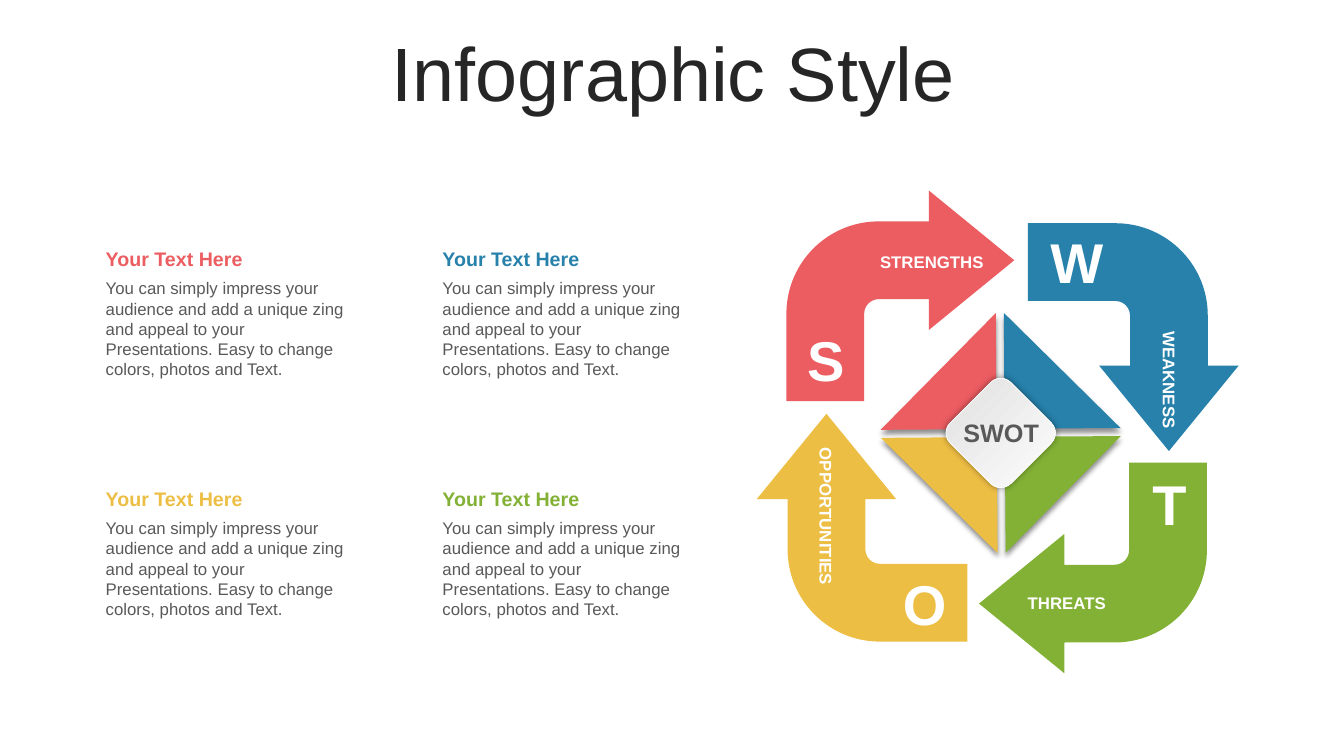
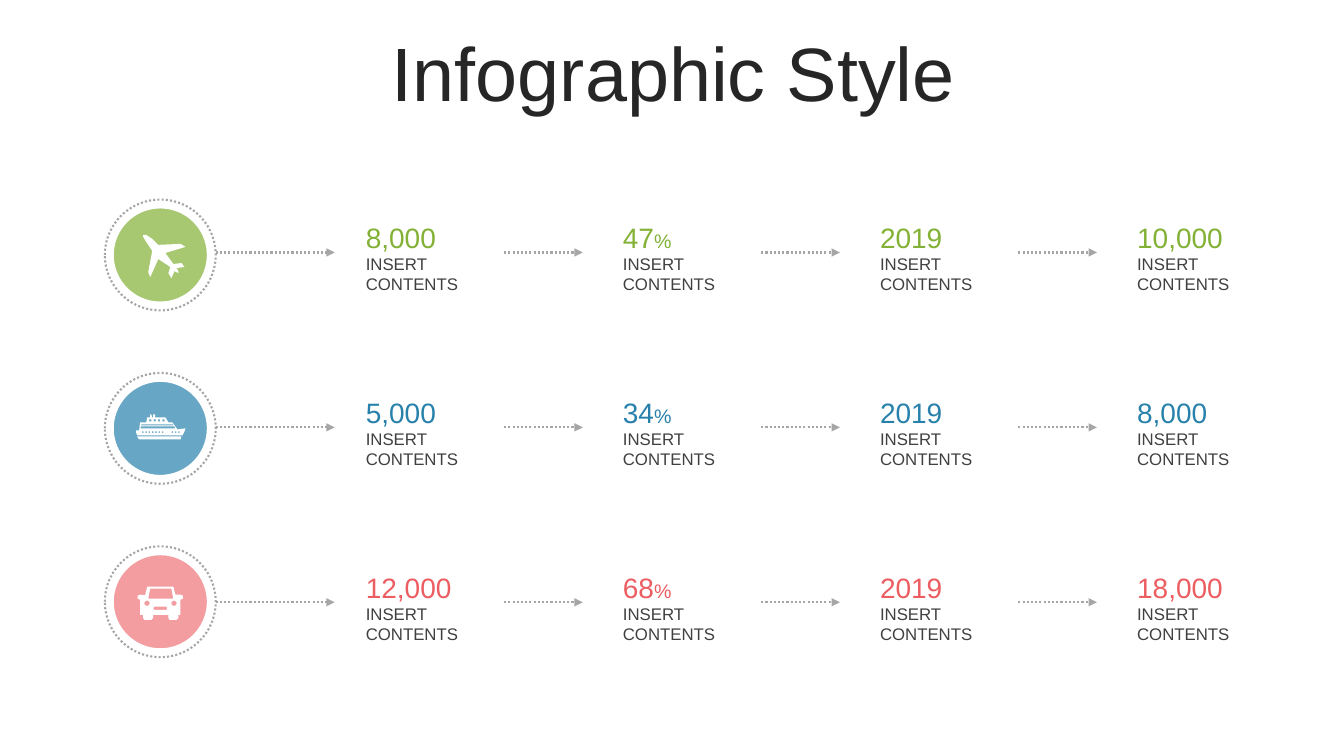
from math import cos, pi, sin

from pptx import Presentation
from pptx.dml.color import RGBColor
from pptx.enum.dml import MSO_LINE
from pptx.enum.shapes import MSO_CONNECTOR, MSO_SHAPE as SHAPE
from pptx.enum.text import MSO_ANCHOR as ANCHOR, MSO_AUTO_SIZE as AUTO, PP_ALIGN as ALIGN
from pptx.oxml.ns import qn
from pptx.util import Inches, Pt
from lxml.etree import SubElement

FONT = "Arial"
RED, BLUE, GREEN, YELLOW = "EC5D62", "2781AB", "82B135", "EDBE44"
WHITE, TITLE_INK, BODY_INK, CAPTION_INK, DOT_GREY = "FFFFFF", "262626", "595959", "404040", "A6A6A6"
BODY_TEXT = ("You can simply impress your audience and add a unique zing and appeal to your "
             "Presentations. Easy to change colors, photos and Text.")


def paint(fill, color):
    fill.solid()
    fill.fore_color.rgb = RGBColor.from_string(color)


def write(shape, paragraphs, color, bold=False, align=ALIGN.LEFT, anchor=ANCHOR.TOP):
    """Fill a shape with paragraphs, each a list of (text, size) runs."""
    frame = shape.text_frame
    frame.vertical_anchor = anchor
    for index, runs in enumerate(paragraphs):
        para = frame.add_paragraph() if index else frame.paragraphs[0]
        para.alignment = align
        for text, size in runs:
            span = para.add_run()
            span.text = text
            span.font.name = FONT
            span.font.size = Pt(size)
            span.font.bold = bold
            paint(span.font.fill, color)


def add_text(page, left, top, width, height, paragraphs, color, wrap=True, **style):
    box = page.shapes.add_textbox(Inches(left), Inches(top), Inches(width), Inches(height))
    box.text_frame.word_wrap = wrap
    box.text_frame.auto_size = AUTO.SHAPE_TO_FIT_TEXT
    write(box, paragraphs, color, **style)


def add_shape(page, kind, left, top, width, height, color=None, rotation=0, adjust=()):
    shape = page.shapes.add_shape(kind, Inches(left), Inches(top), Inches(width), Inches(height))
    shape.shadow.inherit = False
    shape.rotation = rotation
    for index, value in enumerate(adjust):
        shape.adjustments[index] = value
    if color:
        paint(shape.fill, color)
    else:
        shape.fill.background()
    shape.line.fill.background()
    return shape


def outline(shape, color, width, dotted=False):
    paint(shape.line.fill, color)
    shape.line.width = Pt(width)
    if dotted:
        shape.line.dash_style = MSO_LINE.ROUND_DOT


def cast_shadow(shape, opacity, blur, distance, angle):
    effects = shape.element.spPr.find(qn("a:effectLst"))
    shadow = SubElement(effects, qn("a:outerShdw"), blurRad=str(Pt(blur)), dist=str(Pt(distance)),
                        dir=str(angle * 60000), algn="ctr", rotWithShape="0")
    black = SubElement(shadow, qn("a:srgbClr"), val="000000")
    SubElement(black, qn("a:alpha"), val=str(opacity * 1000))


def make_translucent(shape, opacity):
    color = shape.element.spPr.find(qn("a:solidFill")).find(qn("a:srgbClr"))
    SubElement(color, qn("a:alpha"), val=str(opacity * 1000))


def add_dotted_arrow(page, start, end, y):
    arrow = page.shapes.add_connector(MSO_CONNECTOR.STRAIGHT, Inches(start), Inches(y), Inches(end), Inches(y))
    outline(arrow, DOT_GREY, 1.5, dotted=True)
    properties = arrow.element.spPr
    SubElement(properties.find(qn("a:ln")), qn("a:tailEnd"), type="triangle")
    SubElement(properties, qn("a:effectLst"))


def add_icon(page, contours):
    """Draw closed contours as one white outline; inner contours become holes."""
    scaled = [[(Inches(x / 100), Inches(y / 100)) for x, y in points] for points in contours]
    builder = page.shapes.build_freeform(*scaled[0][0], scale=1.0)
    for index, points in enumerate(scaled):
        if index:
            builder.move_to(*points[0])
        builder.add_line_segments(points[1:], close=True)
    icon = builder.convert_to_shape()
    icon.shadow.inherit = False
    paint(icon.fill, WHITE)
    icon.line.fill.background()


def rectangle(left, top, width, height):
    return [(left, top), (left + width, top), (left + width, top + height), (left, top + height)]


def disc(x, y, radius, steps=16):
    angles = [2 * pi * step / steps for step in range(steps)]
    return [(x + radius * cos(angle), y + radius * sin(angle)) for angle in angles]


# Icon contours, in hundredths of an inch on the slide
PLANE = [[(183, 265), (175, 266), (177, 269), (177, 271), (173, 269), (170, 276), (167, 271),
          (169, 265), (157, 257), (149, 275), (147, 270), (151, 249), (145, 240), (142, 235),
          (142, 233), (145, 233), (151, 237), (157, 243), (179, 242), (184, 245), (164, 251),
          (172, 262), (180, 261)]]
SHIP = [
    [(152, 411), (154, 411), (154, 414), (164, 414), (167, 419), (171, 419), (176, 426), (184, 425),
     (183, 428), (181, 432), (136, 432), (135, 429), (135, 427), (138, 427), (139, 419), (145, 419),
     (146, 414), (149, 414), (149, 411), (150, 411), (151, 414), (152, 414)],
    [(136, 433), (180, 433), (179, 436), (138, 436)],
    [(140, 423), (139, 425), (174, 425), (173, 423)],
    rectangle(140, 421, 32, 1),
    *[rectangle(141 + 3.25 * index, 428, 1.5, 1.5) for index in (0, 1, 2, 3, 4, 5, 6, 9, 10, 11)],
    *[rectangle(148 + 4.35 * index, 416, 2.2, 2) for index in range(4)],
]
CAR = [
    [(146, 582), (172, 582), (174, 590), (179, 590), (181.5, 591), (181.5, 594), (179, 595),
     (179, 610), (177, 610), (177, 613), (175, 615), (168, 615), (167, 613), (167, 610),
     (152, 610), (152, 613), (150, 615), (143, 615), (142, 613), (142, 610), (139, 610),
     (139, 595), (136.5, 594), (136.5, 591), (139, 590), (144, 590.5)],
    [(149, 584), (147, 594), (172, 594), (170, 584)],
    [(153, 602), (152, 603.5), (153, 605), (165, 605), (166, 603.5), (165, 602)],
    disc(145.8, 598.5, 2.6),
    disc(172.6, 598.5, 2.6),
]

TRANSPORT_ROWS = [
    (GREEN, 70, PLANE, ("8,000", "47%", "2019", "10,000")),
    (BLUE, 70, SHIP, ("5,000", "34%", "2019", "8,000")),
    (RED, 60, CAR, ("12,000", "68%", "2019", "18,000")),
]
# colour, arrow corner and turn, letter and its corner, triangle corner and turn
SWOT_PARTS = [
    (RED, (7.8, 1.89), 0, "S", (7.74, 3.18), (8.73, 3.11), 269.6),
    (BLUE, (10.11, 2.3), 90, "W", (10.23, 2.21), (9.96, 3.1), 359.6),
    (GREEN, (9.71, 4.59), 180, "T", (11.15, 4.61), (9.97, 4.33), 89.6),
    (YELLOW, (7.42, 4.19), 270, "O", (8.72, 5.6), (8.74, 4.34), 179.6),
]
SWOT_LABELS = [
    ("STRENGTHS", 8.35, 2.45, 1.52, 0, ALIGN.RIGHT),
    ("THREATS", 10.08, 5.84, 1.52, 0, ALIGN.LEFT),
    ("WEAKNESS", 10.84, 3.46, 1.52, 90, ALIGN.RIGHT),
    ("OPPORTUNITIES", 7.22, 5.16, 1.95, 90, ALIGN.LEFT),
]


def add_titled_page(deck, text):
    page = deck.slides.add_slide(deck.slide_layouts[5])
    title = page.shapes.title
    title.left, title.top, title.width, title.height = map(Inches, (0.35, 0.37, 12.66, 0.79))
    title.text_frame.auto_size = AUTO.NONE
    write(title, [[(text, 54)]], TITLE_INK, align=ALIGN.CENTER, anchor=ANCHOR.MIDDLE)
    title.text_frame.paragraphs[0].line_spacing = 0.9
    return page


def add_text_blocks(page):
    for index, color in enumerate((RED, BLUE, YELLOW, GREEN)):
        row, column = divmod(index, 2)
        left, top = 0.95 + 3.34 * column, 2.4 + 2.38 * row
        add_text(page, left, top + 0.31, 2.61, 1.11, [[(BODY_TEXT, 12)]], BODY_INK)
        add_text(page, left, top, 2.58, 0.34, [[("Your Text Here", 14)]], color, bold=True)


def add_swot_wheel(page):
    for color, corner, turn, letter, letter_corner, _, _ in SWOT_PARTS:
        add_shape(page, SHAPE.BENT_ARROW, *corner, 2.26, 2.09, color, turn, (0.369, 0.331, 0.405, 0.438))
        add_text(page, *letter_corner, 0.9, 0.77, [[(letter, 40)]], WHITE, bold=True, align=ALIGN.CENTER)
    for text, left, top, width, turn, align in SWOT_LABELS:
        label = add_shape(page, SHAPE.ROUNDED_RECTANGLE, left, top, width, 0.29, rotation=turn, adjust=[0.178])
        write(label, [[(text, 12)]], WHITE, bold=True, align=align, anchor=ANCHOR.MIDDLE)
    for color, _, _, _, _, corner, turn in SWOT_PARTS:
        triangle = add_shape(page, SHAPE.RIGHT_TRIANGLE, *corner, 1.15, 1.15, color, turn)
        cast_shadow(triangle, 43, 4, 3, 90)
    hub = add_shape(page, SHAPE.ROUNDED_RECTANGLE, 9.5, 3.87, 0.85, 0.85, rotation=45)
    hub.fill.gradient()
    hub.fill.gradient_angle = 0
    for stop, color in zip(hub.fill.gradient_stops, ("DEDEDE", WHITE)):
        stop.color.rgb = RGBColor.from_string(color)
    outline(hub, WHITE, 0.5)
    cast_shadow(hub, 40, 5, 0, 0)
    add_text(page, 9.43, 4.09, 1, 0.4, [[("SWOT", 18)]], BODY_INK, bold=True, align=ALIGN.CENTER)


def add_badge(page, top, color, opacity, icon):
    circle = add_shape(page, SHAPE.OVAL, 1.12, top + 0.08, 0.94, 0.94, color)
    make_translucent(circle, opacity)
    outline(circle, WHITE, 1.25)
    ring = add_shape(page, SHAPE.OVAL, 1.04, top, 1.1, 1.1)
    outline(ring, DOT_GREY, 1.5, dotted=True)
    add_icon(page, icon)


def add_figure(page, left, top, value, color):
    runs = [(value[:-1], 20), ("%", 14)] if value.endswith("%") else [(value, 20)]
    add_text(page, left, top, 1.17, 0.44, [runs], color, anchor=ANCHOR.BOTTOM)
    caption = [[("INSERT", 12)], [("CONTENTS", 12)]]
    add_text(page, left, top + 0.34, 1.17, 0.5, caption, CAPTION_INK, wrap=False)


def add_transport_rows(page):
    for row, (color, opacity, icon, values) in enumerate(TRANSPORT_ROWS):
        add_badge(page, 1.98 + 1.72 * row, color, opacity, icon)
        top = 2.13 + 1.735 * row
        for column, value in enumerate(values):
            offset = 2.55 * column
            add_figure(page, 3.53 + offset, top, value, color)
            add_dotted_arrow(page, 2.45 + offset if column else 2.14, 3.23 + offset if column else 3.32, top + 0.375)


def main():
    deck = Presentation()
    deck.slide_width, deck.slide_height = Inches(13.33), Inches(7.5)
    swot_page = add_titled_page(deck, "Infographic Style")
    add_text_blocks(swot_page)
    add_swot_wheel(swot_page)
    add_transport_rows(add_titled_page(deck, "Infographic Style"))
    deck.save("out.pptx")


if __name__ == "__main__":
    main()
